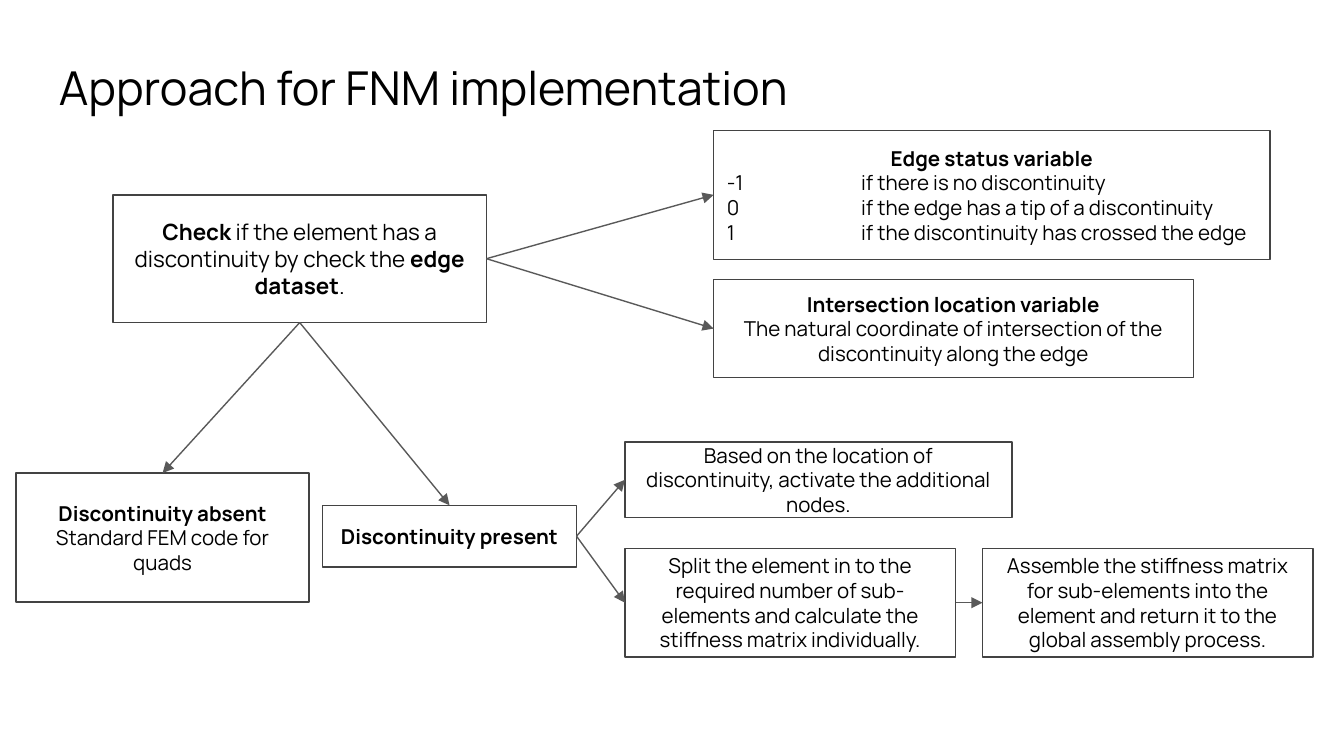
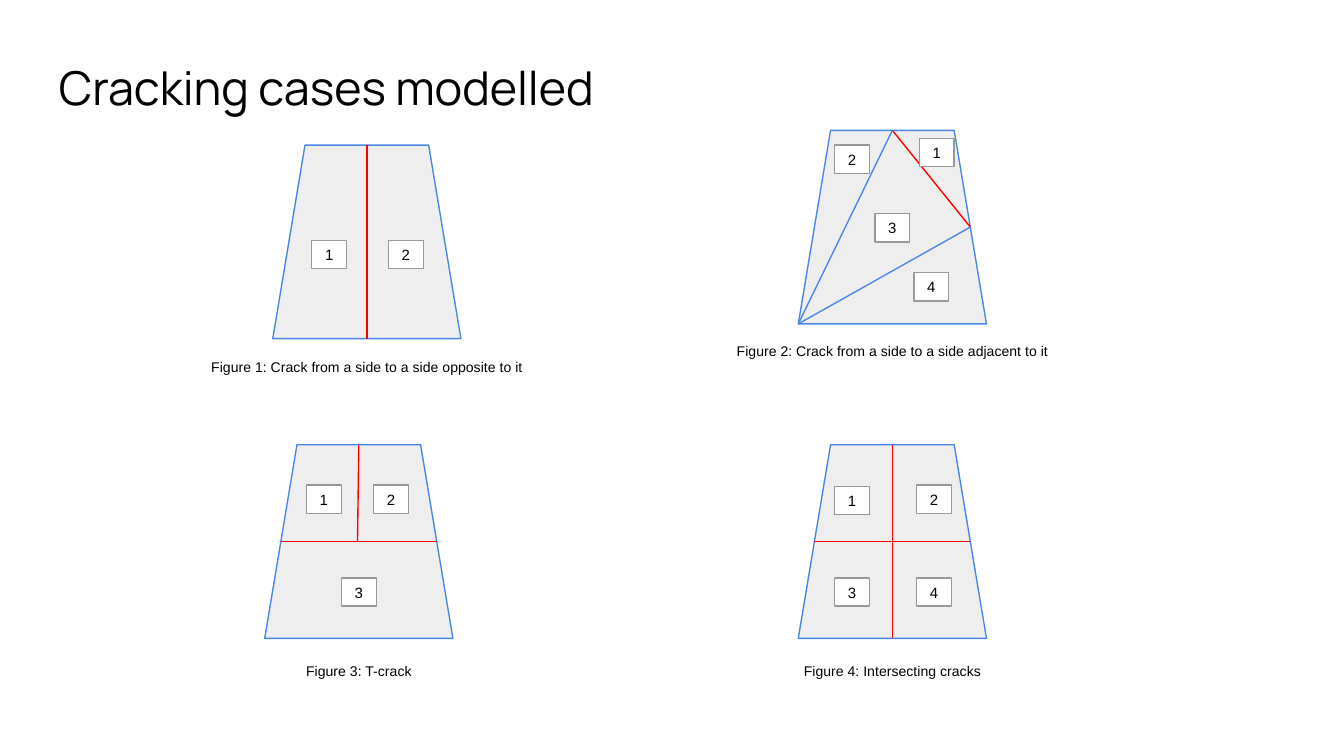
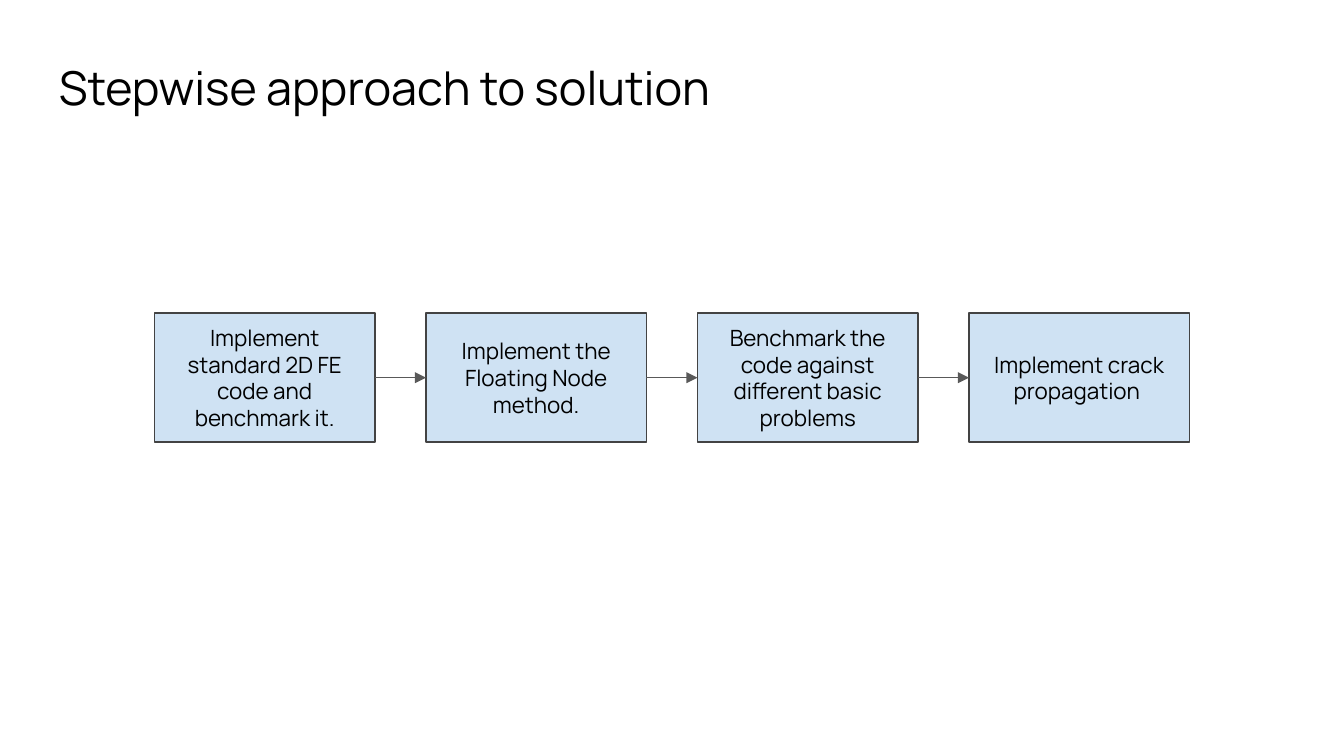
from lxml.etree import SubElement
from pptx import Presentation
from pptx.dml.color import RGBColor
from pptx.enum.shapes import MSO_CONNECTOR, MSO_SHAPE
from pptx.enum.text import MSO_ANCHOR as Anchor, PP_ALIGN as Align
from pptx.oxml.ns import qn
from pptx.util import Inches, Pt

COLORS = {
    "text": "000000",
    "box_line": "434343",
    "arrow": "595959",
    "step": "CFE2F3",
    "element": "EEEEEE",
    "edge": "4A86E8",
    "crack": "FF0000",
    "label": "FFFFFF",
    "label_line": "999999",
}
HEADING_FONT, FIGURE_FONT = "Manrope", "Arial"
LINE_WIDTH = Pt(0.75)
TOP, LEFT, BOTTOM, RIGHT = range(4)  # connection sites of a rectangle

ELEMENT_WIDTH, ELEMENT_HEIGHT = 1.4, 1.44
TOP_INSET = 0.24
CENTER, MIDDLE = ELEMENT_WIDTH / 2, ELEMENT_HEIGHT / 2
SIDE_LEFT, SIDE_RIGHT = TOP_INSET / 2, ELEMENT_WIDTH - TOP_INSET / 2
CAPTION_WIDTH = 2.69


def color(name):
    return RGBColor.from_string(COLORS[name])


def add_tab_stop(para, position):
    tabs = SubElement(para._p.get_or_add_pPr(), qn("a:tabLst"))
    SubElement(tabs, qn("a:tab"), pos=str(Inches(position)), algn="l")


def write(shape, text, size=11, font=HEADING_FONT, align=Align.CENTER, anchor=Anchor.MIDDLE):
    """Fill a shape with text: one paragraph a line, ** switches bold, tabbed lines go left."""
    frame = shape.text_frame
    frame.word_wrap = True
    frame.vertical_anchor = anchor
    frame.margin_left = frame.margin_right = Inches(0.1)
    frame.margin_top = frame.margin_bottom = Inches(0.1)
    for index, line in enumerate(text.split("\n")):
        para = frame.add_paragraph() if index else frame.paragraphs[0]
        para.alignment = align
        if "\t" in line:
            para.alignment = Align.LEFT
            add_tab_stop(para, 1)
        for part, words in enumerate(line.split("**")):
            if words:
                span = para.add_run()
                span.text = words
                span.font.size = Pt(size)
                span.font.name = font
                span.font.bold = part % 2 == 1
                span.font.color.rgb = color("text")


def add_text(page, left, top, width, height, text, **text_format):
    box = page.shapes.add_textbox(Inches(left), Inches(top), Inches(width), Inches(height))
    write(box, text, **text_format)


def add_box(page, left, top, width, height, text="", kind=MSO_SHAPE.RECTANGLE,
            fill=None, line="box_line", **text_format):
    box = page.shapes.add_shape(kind, Inches(left), Inches(top), Inches(width), Inches(height))
    box.shadow.inherit = False
    if fill:
        box.fill.solid()
        box.fill.fore_color.rgb = color(fill)
    else:
        box.fill.background()
    box.line.color.rgb = color(line)
    box.line.width = LINE_WIDTH
    if text:
        write(box, text, **text_format)
    return box


def add_line(page, start, end, line):
    points = [Inches(value) for value in (*start, *end)]
    connector = page.shapes.add_connector(MSO_CONNECTOR.STRAIGHT, *points)
    connector.line.color.rgb = color(line)
    connector.line.width = LINE_WIDTH
    SubElement(connector._element.spPr, qn("a:effectLst"))
    return connector


def add_arrow(page, source, source_site, target, target_site):
    arrow = add_line(page, (0, 0), (1, 1), "arrow")
    arrow.begin_connect(source, source_site)
    arrow.end_connect(target, target_site)
    SubElement(arrow.line._get_or_add_ln(), qn("a:tailEnd"), type="triangle")


def add_page(deck, title):
    page = deck.slides.add_slide(deck.slide_layouts[6])
    add_text(page, 0.34, 0.34, 9.32, 0.63, title,
             size=25, align=Align.LEFT, anchor=Anchor.TOP)
    return page


def add_figure(page, left, top, lines, labels, caption, caption_top):
    """Draw a cracked element; lines and labels are placed from its top left corner."""
    element = add_box(page, left, top, ELEMENT_WIDTH, ELEMENT_HEIGHT,
                      kind=MSO_SHAPE.TRAPEZOID, fill="element", line="edge")
    element.adjustments[0] = TOP_INSET / ELEMENT_WIDTH
    for (x1, y1), (x2, y2), line in lines:
        add_line(page, (left + x1, top + y1), (left + x2, top + y2), line)
    for number, (x, y) in enumerate(labels, 1):
        add_box(page, left + x, top + y, 0.26, 0.21, str(number),
                fill="label", line="label_line", size=8, font=FIGURE_FONT)
    add_text(page, left + CENTER - CAPTION_WIDTH / 2, caption_top, CAPTION_WIDTH, 0.18,
             caption, size=7.5, font=FIGURE_FONT)


def build_approach(deck):
    page = add_page(deck, "Approach for FNM implementation")
    check = add_box(page, 0.84, 1.45, 2.78, 0.95,
                    "**Check** if the element has a discontinuity by check the "
                    "**edge dataset**.", size=12)
    status = add_box(page, 5.31, 0.97, 4.14, 0.96,
                     "**Edge status variable**\n"
                     "-1\tif there is no discontinuity\n"
                     "0\tif the edge has a tip of a discontinuity\n"
                     "1\tif the discontinuity has crossed the edge")
    location = add_box(page, 5.31, 2.08, 3.57, 0.73,
                       "**Intersection location variable**\nThe natural coordinate of "
                       "intersection of the discontinuity along the edge")
    absent = add_box(page, 0.12, 3.52, 2.18, 0.96,
                     "**Discontinuity absent**\nStandard FEM code for quads")
    present = add_box(page, 2.4, 3.76, 1.89, 0.46, "**Discontinuity present**")
    activate = add_box(page, 4.65, 3.29, 2.88, 0.56,
                       "Based on the location of discontinuity, activate the additional nodes.")
    split = add_box(page, 4.65, 4.08, 2.46, 0.81,
                    "Split the element in to the required number of sub-elements and "
                    "calculate the stiffness matrix individually.")
    assemble = add_box(page, 7.31, 4.08, 2.46, 0.81,
                       "Assemble the stiffness matrix for sub-elements into the element "
                       "and return it to the global assembly process.")
    for source, target in ((check, status), (check, location), (present, activate),
                           (present, split), (split, assemble)):
        add_arrow(page, source, RIGHT, target, LEFT)
    for outcome in (absent, present):
        add_arrow(page, check, BOTTOM, outcome, TOP)


def build_cases(deck):
    page = add_page(deck, "Cracking cases modelled")
    top_center, bottom_left = (CENTER, 0), (0, ELEMENT_HEIGHT)
    right_middle = (SIDE_RIGHT, MIDDLE)
    down = (top_center, (CENTER, ELEMENT_HEIGHT), "crack")
    half_down = (top_center, (CENTER - 0.01, MIDDLE), "crack")
    across = ((SIDE_LEFT, MIDDLE), right_middle, "crack")
    corner = [(top_center, right_middle, "crack"),
              (top_center, bottom_left, "edge"),
              (right_middle, bottom_left, "edge")]

    add_figure(page, 2.03, 1.08, [down], [(0.29, 0.71), (0.86, 0.71)],
               "Figure 1: Crack from a side to a side opposite to it", 2.64)
    add_figure(page, 5.94, 0.97, corner,
               [(0.9, 0.06), (0.27, 0.11), (0.57, 0.62), (0.86, 1.06)],
               "Figure 2: Crack from a side to a side adjacent to it", 2.52)
    add_figure(page, 1.97, 3.31, [across, half_down],
               [(0.31, 0.3), (0.81, 0.3), (0.57, 0.99)],
               "Figure 3: T-crack", 4.9)
    add_figure(page, 5.94, 3.31, [down, across],
               [(0.27, 0.31), (0.88, 0.3), (0.27, 0.99), (0.88, 0.99)],
               "Figure 4: Intersecting cracks", 4.9)


def build_steps(deck):
    page = add_page(deck, "Stepwise approach to solution")
    steps = ("Implement standard 2D FE code and benchmark it.",
             "Implement the Floating Node method.",
             "Benchmark the code against different basic problems",
             "Implement crack propagation ")
    boxes = [add_box(page, 1.15 + 2.02 * index, 2.33, 1.64, 0.96, step, fill="step", size=12)
             for index, step in enumerate(steps)]
    for source, target in zip(boxes, boxes[1:]):
        add_arrow(page, source, RIGHT, target, LEFT)


def main():
    deck = Presentation()
    deck.slide_width = Inches(10)
    deck.slide_height = Inches(10 * 9 / 16)
    build_approach(deck)
    build_cases(deck)
    build_steps(deck)
    deck.save("out.pptx")


if __name__ == "__main__":
    main()
